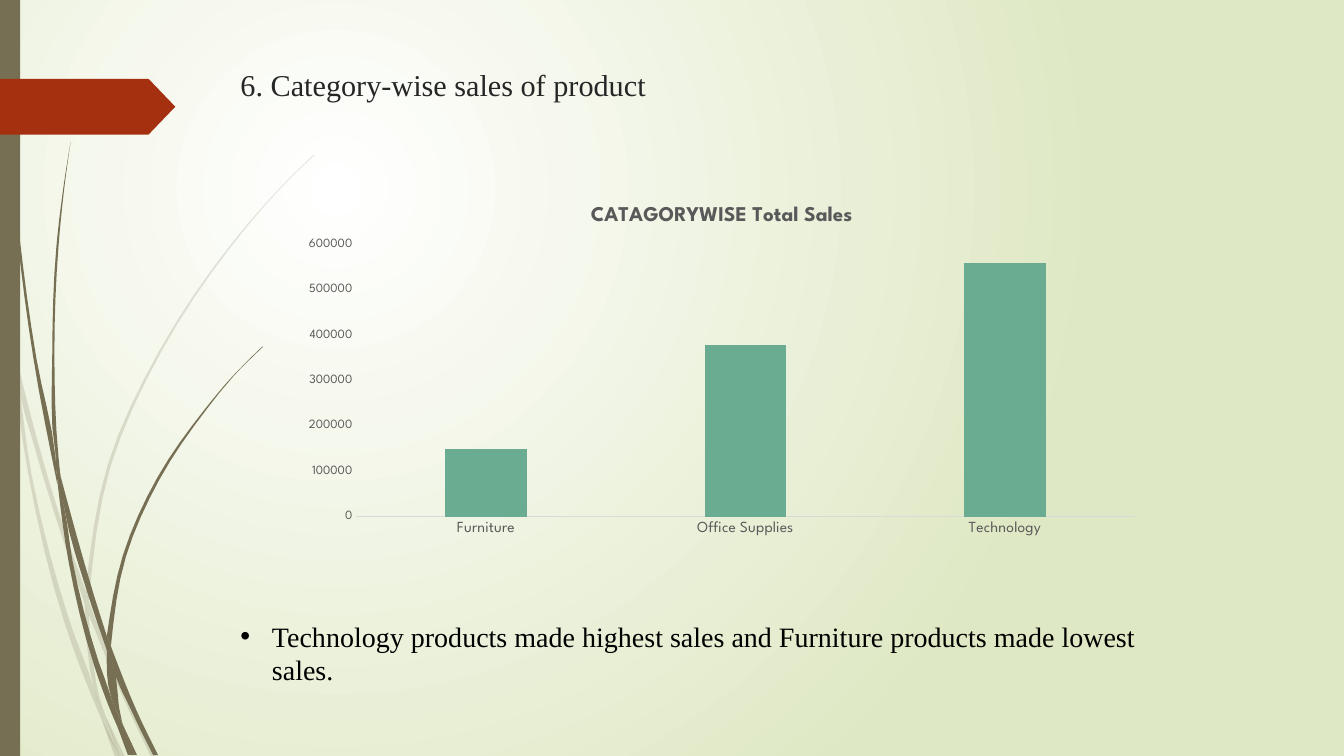
import dataclasses
import math
import pptx
import pptx.chart.data
import pptx.dml.color
import pptx.enum.chart
import pptx.enum.shapes
import pptx.oxml.ns
import pptx.util
from lxml import etree

Pt, qn = pptx.util.Pt, pptx.oxml.ns.qn
SHAPES = pptx.enum.shapes.MSO_SHAPE
SERIF, SANS = "Times New Roman", "League Spartan"
COLORS = {"center": "FFFFFF", "edge": "DFE8C4", "olive": "766F54", "red": "A53010", "title": "262626",
          "body": "000000", "label": "595959", "axis": "D9D9D9", "bar": "6AAC91"}
Points = list[tuple[float, float]]

@dataclasses.dataclass
class Blade:
    """A piece of grass between two edges, each running from top to bottom."""
    left: Points
    right: Points

PALE_BLADES = [
    Blade([(0, 215.3), (7.2, 247.7), (7.9, 252)], [(0, 203), (6.5, 231.8), (7.9, 252)]),
    Blade([(10.1, 248.4), (12.2, 270.7), (25.9, 323.6), (41.8, 375.8), (60.5, 431.3)],
          [(10.1, 248.4), (26, 312), (44.6, 374.4), (61.2, 421.9)]),
    Blade([(63.4, 439.2), (88.6, 499.7), (108, 540.7)],
          [(63.4, 429.1), (66.2, 437), (91.4, 498.2), (111.6, 540.7)]),
    Blade([(75.6, 511.9), (85.7, 540.7)], [(75.6, 511.9), (89.3, 540.7)]),
    Blade([(7.9, 252), (20.2, 338.4), (46.8, 447.1), (66.2, 499), (72.7, 514.1)],
          [(7.9, 252), (12.2, 270.7), (22.3, 337.7), (50.4, 445.7), (67, 491.8), (71.3, 509), (72.7, 514.1)]),
    Blade([(60.5, 431.3), (62.6, 465.1), (67, 491.8), (69.1, 498.2), (75.6, 511.9)],
          [(63.4, 439.2), (65.5, 465.1), (74.2, 508.3), (75.6, 511.9)]),
    Blade([(224.6, 110.2), (208.1, 126), (193, 141.8), (164.2, 175.7), (113.8, 250.6), (77, 331.9), (61.2, 421.9)],
          [(224.6, 110.9), (208.8, 126), (193, 142.6), (164.9, 176.4), (115.2, 251.3), (79.2, 332.6), (63.4, 429.1)]),
    Blade([(72.7, 514.1), (82.1, 540.7)], [(72.7, 514.1), (85.7, 540.7)]),
    Blade([(61.2, 421.9), (60.5, 431.3)], [(63.4, 429.1), (63.4, 439.2)]),
    Blade([(67, 491.8), (71.3, 509), (72.7, 514.1), (85.7, 540.7)],
          [(67, 491.8), (69.1, 498.2), (75.6, 511.9), (85.7, 540.7)]),
]
DARK_BLADES = [
    Blade([(2.2, 0), (2.9, 34.6), (5, 79.2), (12.2, 167.8), (23.8, 255.6), (41, 346.3)],
          [(2.9, 0), (3.6, 34.6), (5.8, 78.5), (13.7, 167), (25.9, 255.6), (39.6, 326.2), (41, 346.3)]),
    Blade([(43.2, 339.8), (46.1, 363.6), (63.4, 426.2), (76.3, 464.4)],
          [(43.2, 339.8), (67, 424.8), (76.3, 454.3)]),
    Blade([(79.2, 461.5), (79.9, 472.3), (95, 509.8), (109.4, 539.3)],
          [(79.2, 461.5), (81.4, 467.3), (97.9, 508.3), (113, 539.3)]),
    Blade([(41, 343.4), (49, 401), (67, 474.5), (79.9, 509.8), (84.2, 519.8)],
          [(41, 343.4), (46.1, 363.6), (51.8, 400.3), (70.6, 473), (79.2, 497.5), (84.2, 519.8)]),
    Blade([(50.4, 101.5), (44.6, 139), (40.3, 176.4), (37.4, 251.3), (39.6, 323.3), (43.2, 339.8)],
          [(50.4, 101.5), (45.4, 139), (41.8, 176.4), (38.9, 251.3), (41.8, 326.2), (43.2, 339.8)]),
    Blade([(87.8, 517.7), (95.8, 539.3)], [(87.8, 517.7), (97.9, 539.3)]),
    Blade([(39.6, 323.3), (41, 343.4), (46.1, 363.6)], [(39.6, 323.3), (43.2, 339.8), (46.1, 363.6)]),
    Blade([(187.2, 247.7), (166.3, 268.6), (146.9, 291.6), (112.3, 341.3), (87.8, 396.7), (76.3, 454.3)],
          [(187.9, 247.7), (166.3, 269.3), (147.6, 292.3), (113.8, 342.7), (90, 397.4), (79.2, 461.5)]),
    Blade([(84.2, 519.8), (91.4, 539.3)], [(84.2, 519.8), (94.3, 539.3)]),
    Blade([(76.3, 464.4), (79.2, 497.5), (83.5, 508.3), (87.8, 517.7)],
          [(76.3, 464.4), (79.9, 472.3), (87.1, 515.5), (87.8, 517.7)]),
    Blade([(76.3, 454.3), (76.3, 464.4), (79.9, 472.3)], [(76.3, 454.3), (79.2, 461.5), (79.9, 472.3)]),
    Blade([(79.2, 497.5), (84.2, 519.8), (93.6, 539.3)],
          [(79.2, 497.5), (83.5, 508.3), (87.8, 517.7), (95.8, 539.3)]),
]

def rgb(name: str) -> pptx.dml.color.RGBColor:
    return pptx.dml.color.RGBColor.from_string(COLORS[name])

def paint(sp, color: str, opacity: int = 100) -> None:
    sp.shadow.inherit = False
    sp.line.fill.background()
    sp.fill.solid()
    sp.fill.fore_color.rgb = rgb(color)
    if opacity < 100:
        clr = sp.element.spPr.find(".//" + qn("a:srgbClr"))
        etree.SubElement(clr, qn("a:alpha")).set("val", str(opacity * 1000))

def smooth(pts: Points, steps: int = 4) -> Points:
    """Pass a Hermite curve through the points, weighted by distance."""
    sizes = [math.dist(a, b) for a, b in zip(pts, pts[1:])]
    chords = [[(b[k] - a[k]) / d for k in (0, 1)] for a, b, d in zip(pts, pts[1:], sizes)]
    inner = [[(c[k] * e + f[k] * d) / (d + e) for k in (0, 1)]
             for c, f, d, e in zip(chords, chords[1:], sizes, sizes[1:])]
    ends = [[1.5 * c[k] - 0.5 * m[k] for k in (0, 1)]
            for c, m in ((chords[0], (inner or chords)[0]), (chords[-1], (inner or chords)[-1]))]
    slopes = [ends[0], *inner, ends[1]]
    curve = [pts[0]]
    for i, size in enumerate(sizes):
        n = steps if size > 30 else 2
        for t in (j / n for j in range(1, n + 1)):
            h, u, v = 3 * t**2 - 2 * t**3, size * t * (1 - t)**2, size * t**2 * (t - 1)
            curve.append(tuple(pts[i][k] * (1 - h) + pts[i + 1][k] * h + u * slopes[i][k]
                               + v * slopes[i + 1][k] for k in (0, 1)))
    return curve

def add_blade(s, blade: Blade, opacity: int) -> None:
    outline = [(x * 100, y * 100) for x, y in smooth(blade.left) + smooth(blade.right)[::-1]]
    builder = s.shapes.build_freeform(*outline[0], scale=Pt(1) / 100)
    builder.add_line_segments(outline[1:], close=True)
    paint(builder.convert_to_shape(), "olive", opacity)

def set_font(font, *, size: float, color: str, name: str, bold: bool = False) -> None:
    font.size, font.name, font.bold = Pt(size), name, bold
    font.color.rgb = rgb(color)

def add_text(s, text: str, *, top: float, width: float, height: float, size: float, color: str,
             bullet: str = "") -> None:
    tf = s.shapes.add_textbox(Pt(164.7), Pt(top), Pt(width), Pt(height)).text_frame
    tf.word_wrap = True
    p = tf.paragraphs[0]
    r = p.add_run()
    r.text = text
    set_font(r.font, size=size, color=color, name=SERIF)
    if bullet:
        pPr = p._p.get_or_add_pPr()
        pPr.set("marL", str(Pt(22.5)))
        pPr.set("indent", str(-Pt(22.5)))
        etree.SubElement(pPr, qn("a:buFont")).set("typeface", "Arial")
        etree.SubElement(pPr, qn("a:buChar")).set("char", bullet)

def add_sales_chart(s) -> None:
    data = pptx.chart.data.CategoryChartData()
    data.categories = ["Furniture", "Office Supplies", "Technology"]
    data.add_series("Series 1", [150000, 380000, 560000])
    width, height = Pt(615), Pt(253.5)
    chart = s.shapes.add_chart(pptx.enum.chart.XL_CHART_TYPE.COLUMN_CLUSTERED,
                               Pt(208), Pt(134), width, height, data).chart
    chart.has_legend = False
    set_font(chart.font, size=10, color="body", name=SANS)
    r = chart.chart_title.text_frame.paragraphs[0].add_run()
    r.text = "CATAGORYWISE Total Sales"
    set_font(r.font, size=15, color="label", name=SANS, bold=True)
    # Axes
    for axis, size in ((chart.category_axis, 11), (chart.value_axis, 9)):
        axis.major_tick_mark = axis.minor_tick_mark = pptx.enum.chart.XL_TICK_MARK.NONE
        axis.has_major_gridlines = False
        set_font(axis.tick_labels.font, size=size, color="label", name=SANS)
    line, values = chart.category_axis.format.line, chart.value_axis
    line.width = Pt(0.75)
    line.color.rgb = rgb("axis")
    values.format.line.fill.background()
    values.minimum_scale, values.maximum_scale, values.major_unit = 0, 600000, 100000
    # Columns
    plot = chart.plots[0]
    plot.gap_width, plot.overlap, plot.vary_by_categories = 219, -27, False
    fill = plot.series[0].format.fill
    fill.solid()
    fill.fore_color.rgb = rgb("bar")
    # Plot area
    area = chart.element.find(".//" + qn("c:plotArea"))
    layout = area.find(qn("c:layout"))
    if layout is None:
        layout = etree.Element(qn("c:layout"))
        area.insert(0, layout)
    manual = etree.SubElement(layout, qn("c:manualLayout"))
    for tag, val in (("layoutTarget", "inner"), ("xMode", "edge"), ("yMode", "edge"), ("x", Pt(46.5) / width),
                     ("y", Pt(41.1) / height), ("w", Pt(556) / width), ("h", Pt(194) / height)):
        etree.SubElement(manual, qn("c:" + tag)).set("val", str(val))

def set_background(s) -> None:
    fill = s.background.fill
    fill.gradient()
    for stop, color, position in zip(fill.gradient_stops, ("center", "edge"), (0, 1)):
        stop.color.rgb, stop.position = rgb(color), position
    grad = s.element.find(".//" + qn("a:gradFill"))
    grad.remove(grad.find(qn("a:lin")))
    radial = etree.SubElement(grad, qn("a:path"))
    radial.set("path", "circle")
    etree.SubElement(radial, qn("a:fillToRect"), l="50000", t="50000", r="100000", b="100000")

prs = pptx.Presentation()
prs.slide_width, prs.slide_height = Pt(960), Pt(540)
s = prs.slides.add_slide(prs.slide_layouts[6])
set_background(s)
# Grass, side bar and red tab
for blades, opacity in ((PALE_BLADES, 20), (DARK_BLADES, 100)):
    for blade in blades:
        add_blade(s, blade, opacity)
paint(s.shapes.add_shape(SHAPES.RECTANGLE, 0, 0, Pt(14.4), Pt(540)), "olive")
tab = s.shapes.add_shape(SHAPES.PENTAGON, 0, Pt(56.3), Pt(125.2), Pt(39.9))
tab.adjustments[0] = 0.48
paint(tab, "red")
# Title, chart and finding
add_text(s, "6. Category-wise sales of product", top=44, width=702, height=60, size=21.6, color="title")
add_sales_chart(s)
add_text(s, "Technology products made highest sales and Furniture products made lowest sales.",
         top=438.8, width=681, height=55.5, size=20, color="body", bullet="•")
prs.save("out.pptx")
